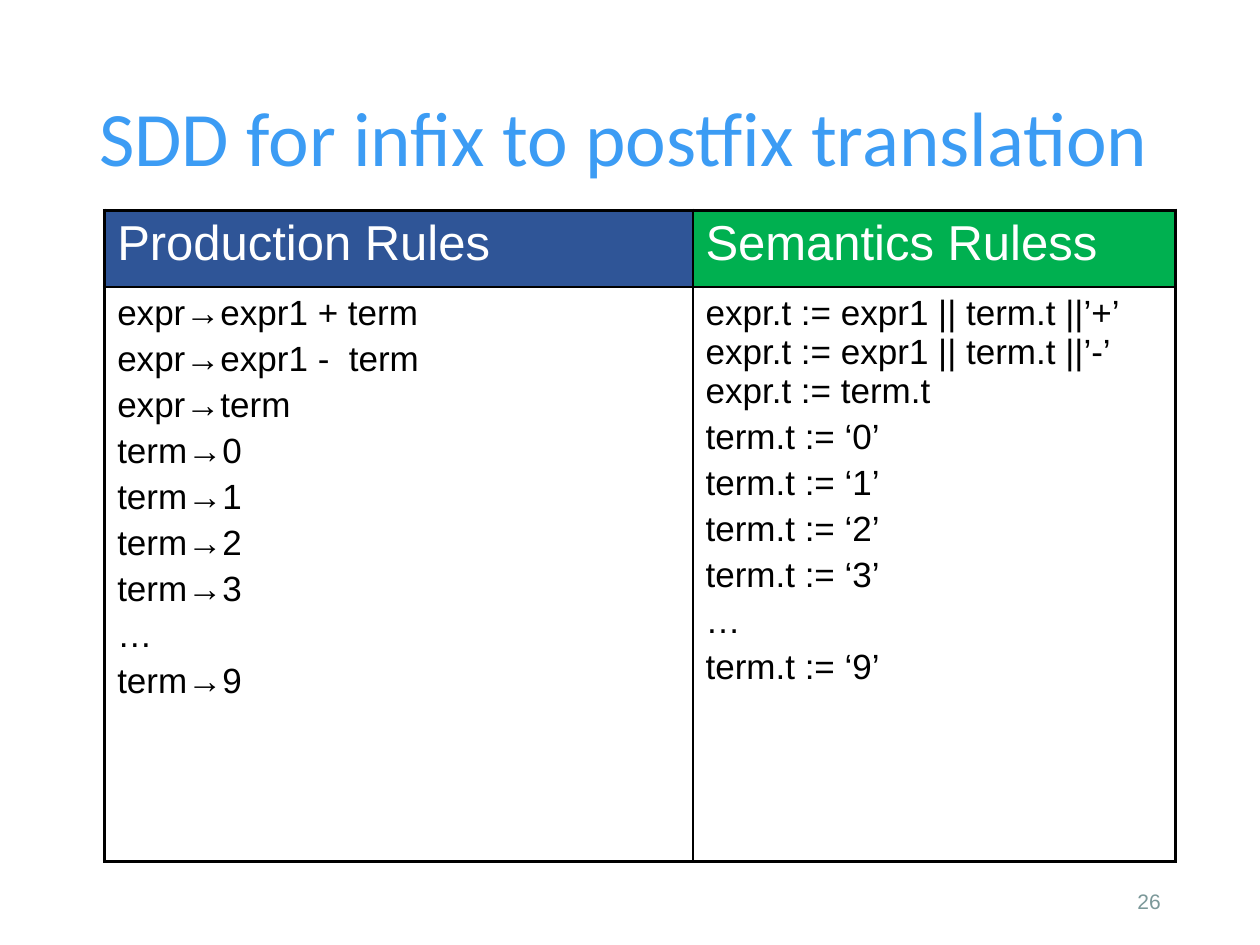
import pptx
import pptx.dml.color
import pptx.enum.text
import pptx.oxml
import pptx.oxml.ns
import pptx.util

Cm = pptx.util.Cm
Pt = pptx.util.Pt
ALIGN = pptx.enum.text.PP_ALIGN

# Content
TITLE = "SDD for infix to postfix translation"
PAGE_NUMBER = "26"
HEADERS = ["Production Rules", "Semantics Ruless"]
PRODUCTIONS = [
    "expr→expr1 + term",
    "expr→expr1 -  term",
    "expr→term",
    "term→0",
    "term→1",
    "term→2",
    "term→3",
    "…",
    "term→9",
]
SEMANTICS = [
    "expr.t := expr1 || term.t ||’+’ expr.t := expr1 || term.t ||’-’ expr.t := term.t",
    "term.t := ‘0’",
    "term.t := ‘1’",
    "term.t := ‘2’",
    "term.t := ‘3’",
    "…",
    "term.t := ‘9’",
]
COLORS = {
    "title": "3C9CF4",
    "number": "7B9899",
    "production": "2F5597",
    "semantics": "00B050",
    "header": "FFFFFF",
    "body": "000000",
    "border": "000000",
}
HEADER_FILLS = ["production", "semantics"]
COLUMN_WIDTHS = [Cm(11.86), Cm(9.73)]
ROW_HEIGHTS = [Cm(1.55), Cm(11.58)]
OUTER, INNER = Pt(2.25), Pt(1)


def color(name):
    return pptx.dml.color.RGBColor.from_string(COLORS[name])


def write(frame, lines, size, tint, font="Arial", align=ALIGN.LEFT):
    frame.text = "\n".join(lines)
    for index, para in enumerate(frame.paragraphs):
        para.alignment = align
        para.space_before = Pt(size * 0.2 if index else 0)
        for span in para.runs:
            span.font.name = font
            span.font.size = Pt(size)
            span.font.color.rgb = color(tint)


def add_label(page, area, text, size, tint, **style):
    box = page.shapes.add_textbox(*area)
    frame = box.text_frame
    frame.word_wrap = True
    frame.vertical_anchor = pptx.enum.text.MSO_ANCHOR.MIDDLE
    write(frame, [text], size, tint, **style)
    return frame


def set_borders(cell, widths):
    properties = cell._tc.get_or_add_tcPr()
    for index, (side, width) in enumerate(widths.items()):
        line = pptx.oxml.parse_xml(
            f'<a:ln{side} {pptx.oxml.ns.nsdecls("a")} w="{int(width)}">'
            f'<a:solidFill><a:srgbClr val="{COLORS["border"]}"/></a:solidFill>'
            f'</a:ln{side}>'
        )
        properties.insert(index, line)


deck = pptx.Presentation()
deck.slide_width, deck.slide_height = Cm(25.4), Cm(19.05)
page = deck.slides.add_slide(deck.slide_layouts[6])

# Title and page number
title = add_label(page, (Cm(1.75), Cm(1.02), Cm(21.9), Cm(3.68)),
                  TITLE, 44, "title", font="Calibri")
title.paragraphs[0].line_spacing = 0.9
add_label(page, (Cm(17.93), Cm(17.65), Cm(5.72), Cm(1.02)),
          PAGE_NUMBER, 12, "number", align=ALIGN.RIGHT)

# Table of rules
table = page.shapes.add_table(
    2, 2, Cm(2.11), Cm(4.24), sum(COLUMN_WIDTHS), sum(ROW_HEIGHTS)).table
table.first_row = table.horz_banding = False
for column, width in zip(table.columns, COLUMN_WIDTHS):
    column.width = width
for row, height in zip(table.rows, ROW_HEIGHTS):
    row.height = height

for c, lines in enumerate([PRODUCTIONS, SEMANTICS]):
    header, body = table.cell(0, c), table.cell(1, c)
    header.fill.solid()
    header.fill.fore_color.rgb = color(HEADER_FILLS[c])
    body.fill.background()
    write(header.text_frame, [HEADERS[c]], 28, "header")
    write(body.text_frame, lines, 20, "body")
    for r, cell in enumerate([header, body]):
        set_borders(cell, {
            "L": INNER if c else OUTER,
            "R": OUTER if c else INNER,
            "T": INNER if r else OUTER,
            "B": OUTER if r else INNER,
        })

deck.save("out.pptx")
